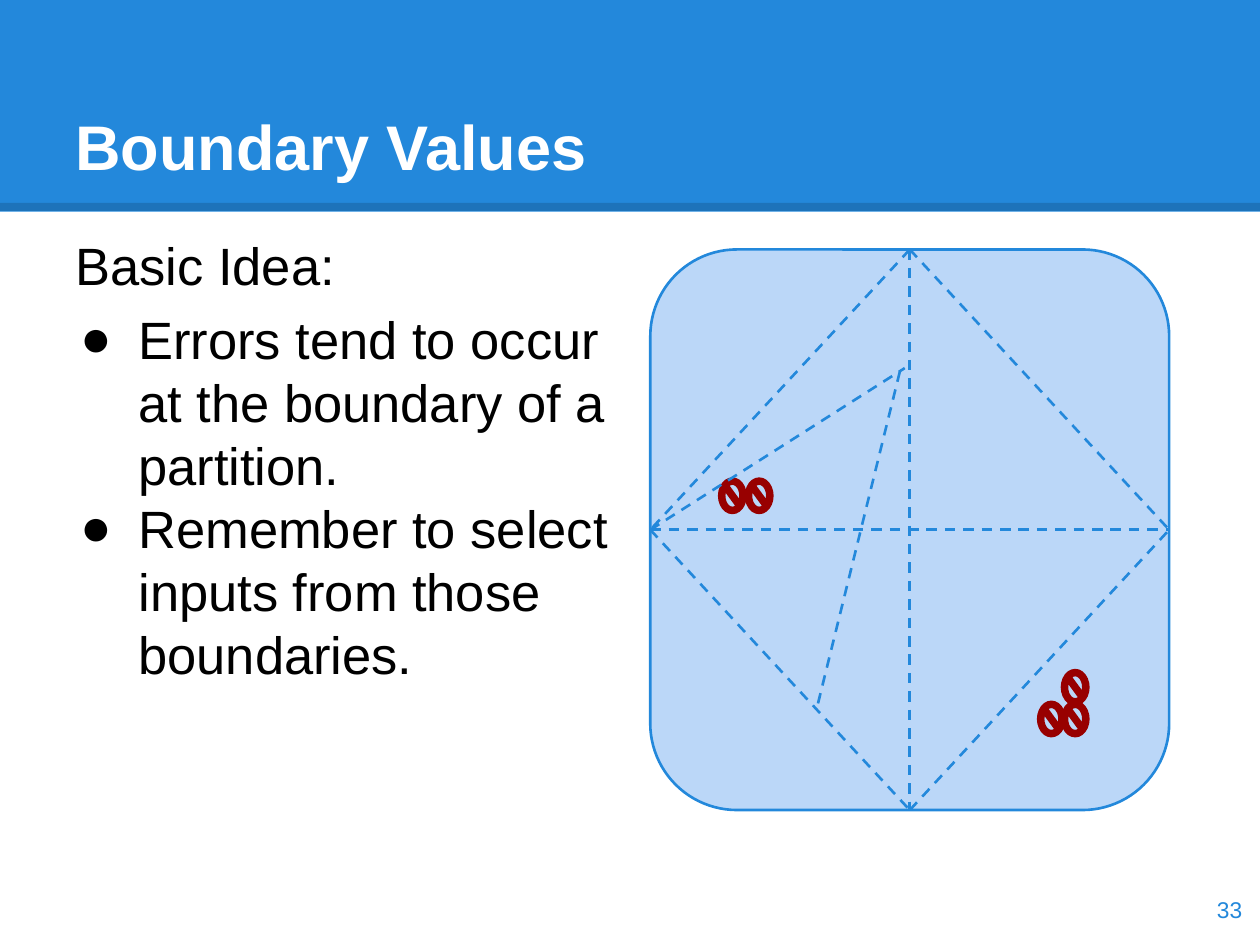
import itertools

import lxml.etree
import pptx
import pptx.dml.color
import pptx.enum.dml
import pptx.enum.shapes
import pptx.enum.text
import pptx.oxml.ns
import pptx.util

Cm, Pt = pptx.util.Cm, pptx.util.Pt
SHAPE = pptx.enum.shapes.MSO_SHAPE
ANCHOR = pptx.enum.text.MSO_ANCHOR
ALIGN = pptx.enum.text.PP_ALIGN
TOP, LEFT, BOTTOM, RIGHT = range(4)

BLUE, PALE, RED, BLACK, WHITE = "2388DB", "BBD7F8", "980000", "000000", "FFFFFF"


def colour(code):
    return pptx.dml.color.RGBColor.from_string(code)


def add_element(parent, tag, **attributes):
    element = lxml.etree.SubElement(parent, pptx.oxml.ns.qn(tag))
    for name, value in attributes.items():
        element.set(name, value)
    return element


class Painter:
    """Holds the text style and the page being drawn."""

    font = "Arial"
    inset = Cm(0.25)

    def __init__(self, page):
        self.page = page

    def shape(self, kind, left, top, width, height, fill, line=None, adjust=None):
        shape = self.page.shapes.add_shape(kind, Cm(left), Cm(top), Cm(width), Cm(height))
        shape.shadow.inherit = False
        shape.fill.solid()
        shape.fill.fore_color.rgb = colour(fill)
        if line:
            shape.line.color.rgb = colour(line)
            shape.line.width = Pt(1.5)
        else:
            shape.line.fill.background()
        if adjust is not None:
            shape.adjustments[0] = adjust
        return shape

    def line(self, start, end, code=BLUE, width=1.5, dashed=True):
        """Draw a line; an end is an (x, y) point or a (shape, side) joint."""
        points = [(0, 0) if hasattr(end_point[0], "shape_id") else end_point
                  for end_point in (start, end)]
        line = self.page.shapes.add_connector(
            pptx.enum.shapes.MSO_CONNECTOR.STRAIGHT,
            *(Cm(value) for point in points for value in point))
        if hasattr(start[0], "shape_id"):
            line.begin_connect(*start)
        if hasattr(end[0], "shape_id"):
            line.end_connect(*end)
        line.line.color.rgb = colour(code)
        line.line.width = Pt(width)
        if dashed:
            line.line.dash_style = pptx.enum.dml.MSO_LINE.DASH
        add_element(line._element.spPr, "a:effectLst")
        return line

    def text(self, left, top, width, height, lines, size, code,
             bold=False, anchor=ANCHOR.TOP, align=ALIGN.LEFT):
        box = self.page.shapes.add_textbox(Cm(left), Cm(top), Cm(width), Cm(height))
        frame = box.text_frame
        frame.word_wrap = True
        frame.vertical_anchor = anchor
        frame.margin_left = frame.margin_right = self.inset
        frame.margin_top = frame.margin_bottom = self.inset
        frame.text = "\n".join(lines)
        for para in frame.paragraphs:
            para.alignment = align
            for span in para.runs:
                span.font.name = self.font
                span.font.size = Pt(size)
                span.font.bold = bold
                span.font.color.rgb = colour(code)
        return frame

    def bullet(self, para, code):
        properties = para._p.get_or_add_pPr()
        properties.set("marL", str(Cm(1.27)))
        properties.set("indent", str(-Cm(1.17)))
        add_element(add_element(properties, "a:buClr"), "a:srgbClr", val=code)
        add_element(properties, "a:buFont", typeface=self.font)
        add_element(properties, "a:buChar", char="●")


def draw_header(painter):
    painter.shape(SHAPE.RECTANGLE, 0, 0, 25.4, 4.27, BLUE)
    rule = painter.line((0, 4.17), (25.4, 4.17), BLACK, 4.5, dashed=False)
    shade = rule._element.spPr.find(".//" + pptx.oxml.ns.qn("a:srgbClr"))
    add_element(shade, "a:alpha", val="15000")
    painter.text(1.27, 0.76, 22.86, 3.18, ["Boundary Values"], 36, WHITE,
                 bold=True, anchor=ANCHOR.BOTTOM)


def draw_idea(painter):
    frame = painter.text(1.27, 4.45, 11.94, 13.79, [
        "Basic Idea:",
        "Errors tend to occur at the boundary of a partition.",
        "Remember to select inputs from those boundaries.",
    ], 30, BLACK)
    for para in frame.paragraphs:
        para.line_spacing = Pt(36)
    for para in frame.paragraphs[1:]:
        painter.bullet(para, BLACK)
    frame.paragraphs[1].space_before = Pt(6)


def draw_partitions(painter):
    domain = painter.shape(SHAPE.ROUNDED_RECTANGLE, 13.11, 5.03, 10.46, 11.3,
                           PALE, BLUE, 0.167)
    for left, top in [(15.04, 9.65), (14.5, 9.65),
                      (21.41, 14.15), (21.41, 13.51), (20.93, 14.15)]:
        painter.shape(SHAPE.NO_SYMBOL, left, top, 0.53, 0.69, RED, RED, 0.188)
    for start, end in itertools.combinations((TOP, LEFT, BOTTOM, RIGHT), 2):
        painter.line((domain, start), (domain, end))
    painter.line((domain, LEFT), (18.24, 7.42))
    painter.line((18.14, 7.49), (16.48, 14.22))


def main():
    deck = pptx.Presentation()
    deck.slide_width, deck.slide_height = Cm(25.4), Cm(19.05)
    painter = Painter(deck.slides.add_slide(deck.slide_layouts[6]))
    draw_header(painter)
    draw_idea(painter)
    draw_partitions(painter)
    painter.text(23.77, 17.6, 1.52, 1.45, ["33"], 13, BLUE,
                 anchor=ANCHOR.MIDDLE, align=ALIGN.RIGHT)
    deck.save("out.pptx")


if __name__ == "__main__":
    main()
